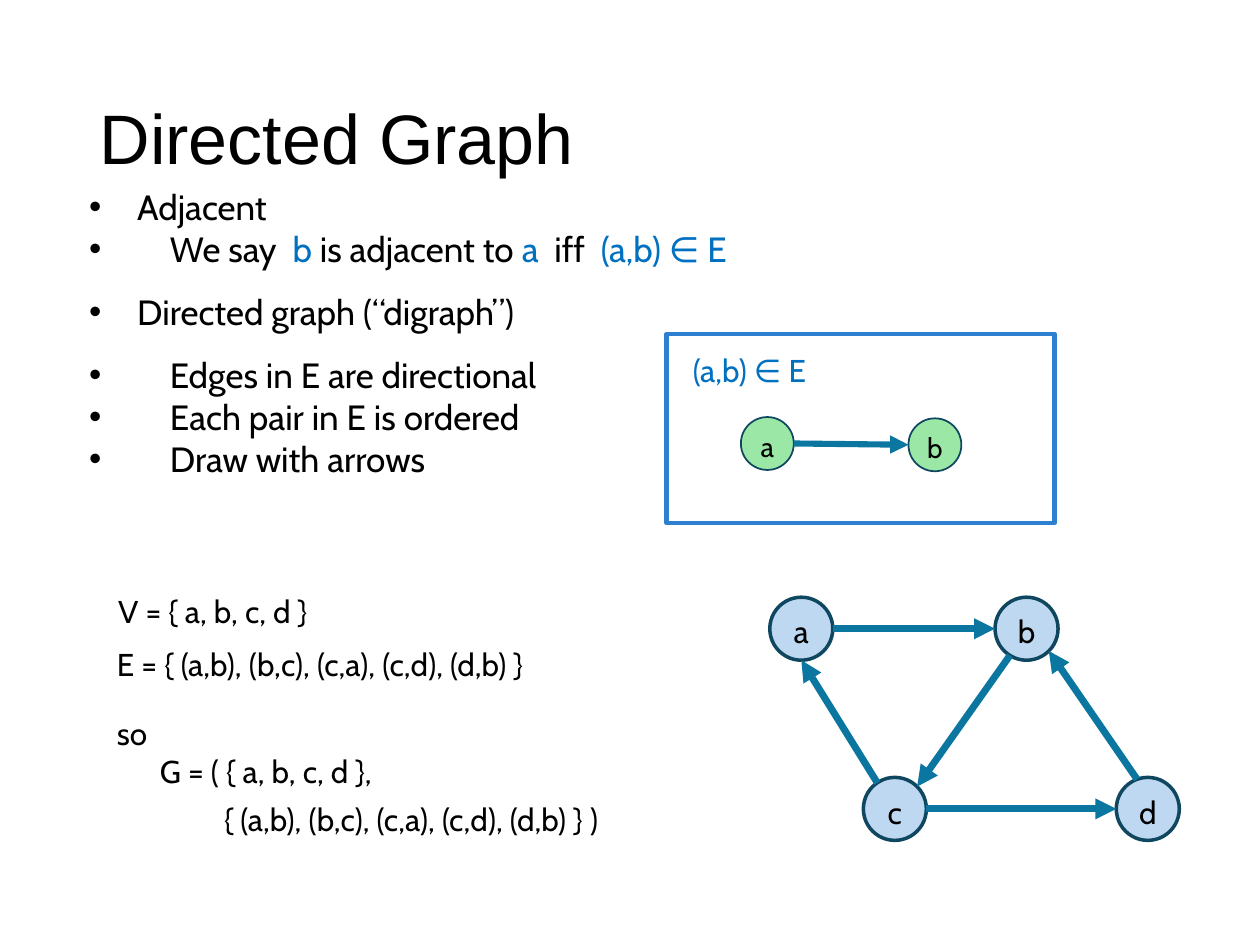
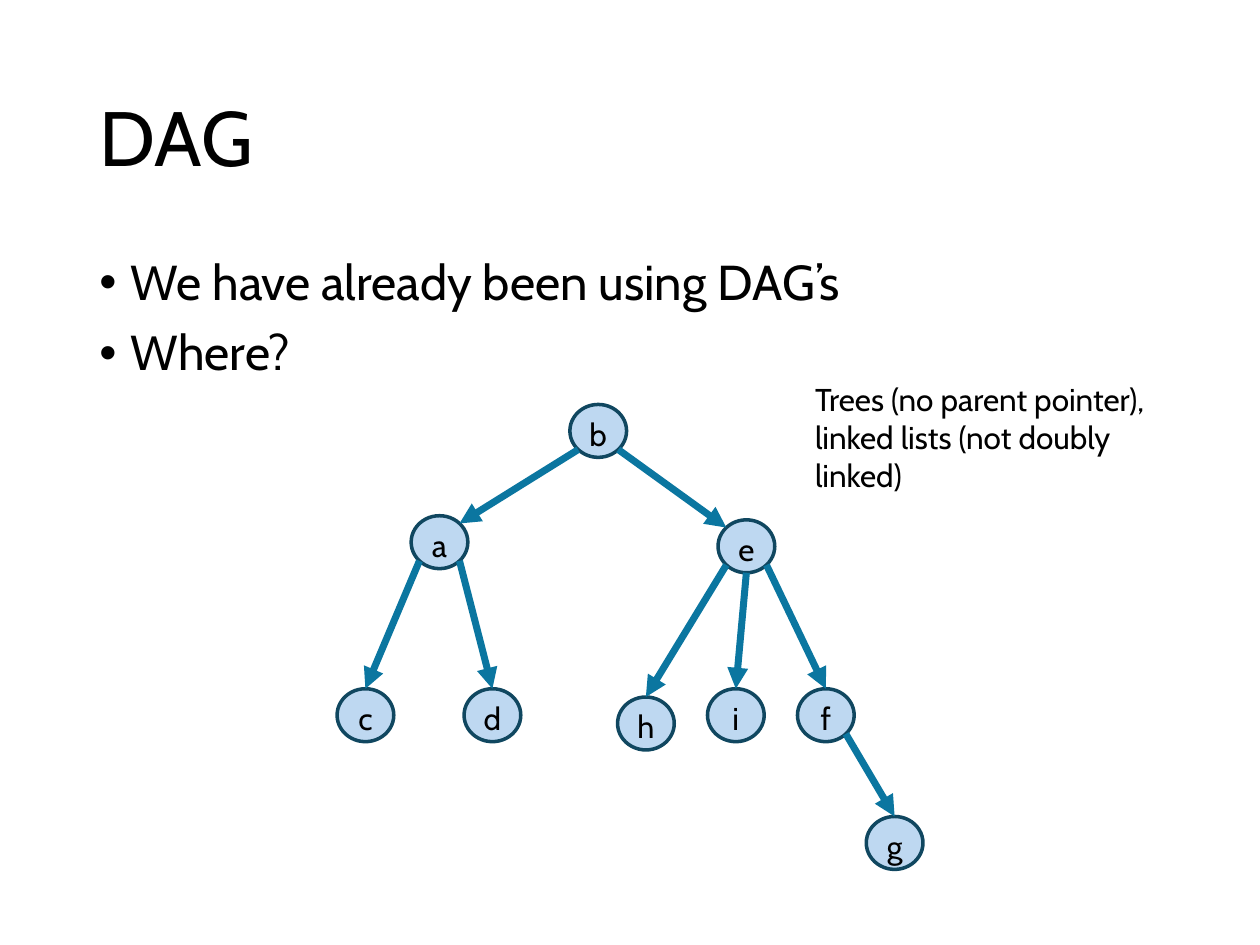
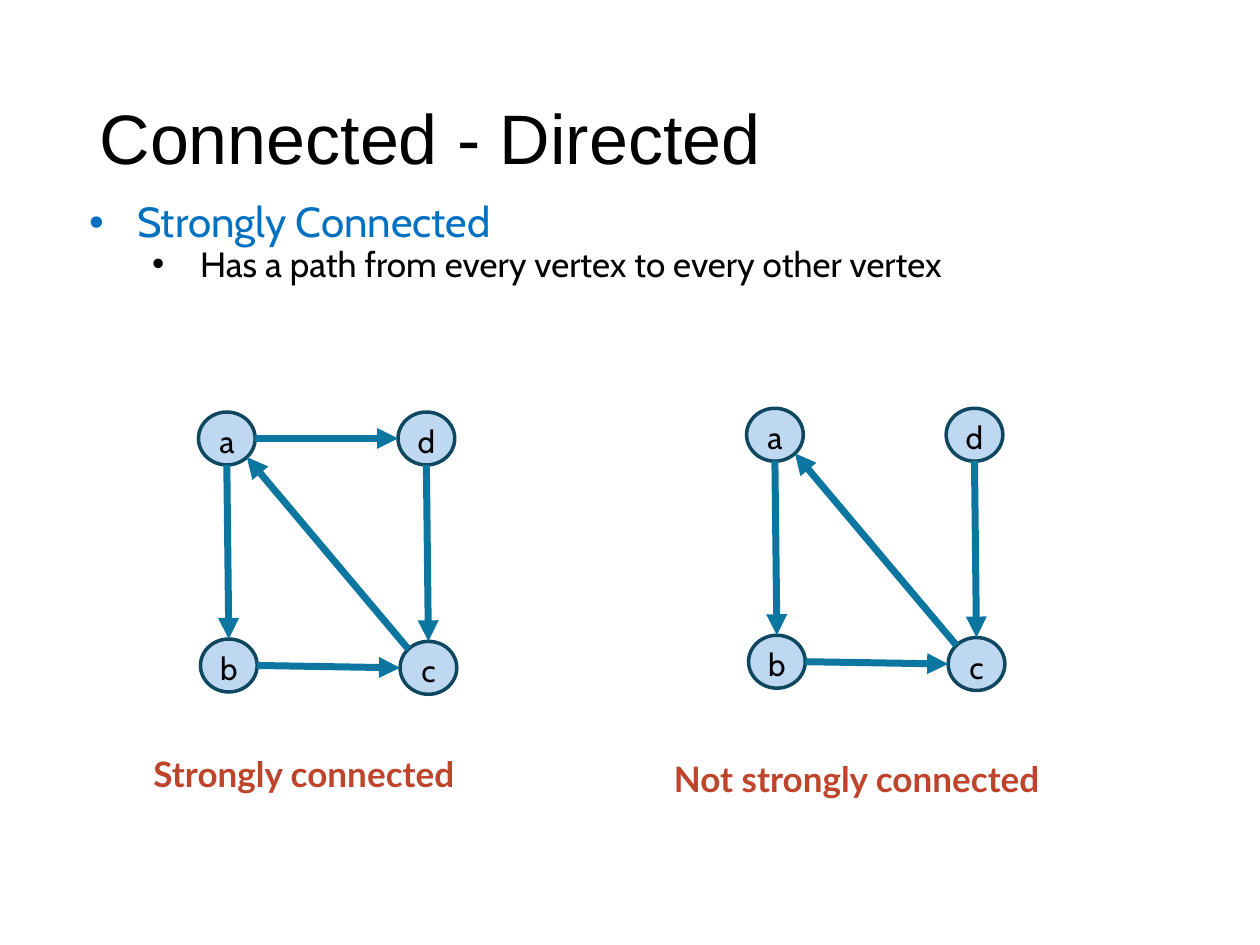
from math import cos, radians, sin

from lxml import etree
from pptx import Presentation
from pptx import util as u
from pptx.dml.color import RGBColor
from pptx.enum import shapes, text
from pptx.oxml.ns import qn

COLS, ROWS = 100, 75
BLACK = RGBColor(0x00, 0x00, 0x00)
BLUE = RGBColor(0x00, 0x70, 0xC0)
FRAME = RGBColor(0x2D, 0x7F, 0xCF)
SKY = RGBColor(0x71, 0xAA, 0xE0)
GREEN = RGBColor(0x47, 0xD4, 0x5A)
RIM = RGBColor(0x10, 0x47, 0x60)
TEAL = RGBColor(0x0B, 0x76, 0xA0)
RUST = RGBColor(0xBE, 0x44, 0x2C)

E, NE, N, NW, W, SW, S, SE = range(0, 360, 45)


def cell(n):
    return u.Inches(n / 10)


def child(parent, tag, **attrs):
    return etree.SubElement(parent, qn(tag), **attrs)


def say(frame, words, size=18, font="Cabin", color=BLACK, bold=False, left=0, hang=0,
        bullet=False, before=0, after=0, lead=1.0, align=text.PP_ALIGN.LEFT):
    para = frame.paragraphs[0]
    if para.runs:
        para = frame.add_paragraph()
    para.alignment, para.line_spacing = align, lead
    para.space_before, para.space_after = u.Pt(before), u.Pt(after)
    props = para._p.get_or_add_pPr()
    props.set("marL", str(cell(left)))
    props.set("indent", str(-cell(hang)))
    if bullet:
        child(props, "a:buFont", typeface="Arial")
        child(props, "a:buChar", char="•")
    for part, tint in [(words, color)] if isinstance(words, str) else words:
        run = para.add_run()
        run.text = part
        run.font.size, run.font.name, run.font.bold = u.Pt(size), font, bold
        run.font.color.rgb = tint


def pane(slide, box):
    frame = slide.shapes.add_textbox(*map(cell, box)).text_frame
    frame.word_wrap = True
    return frame


def page(deck, title, **style):
    slide = deck.slides.add_slide(deck.slide_layouts[5])
    head = slide.shapes.title
    head.left, head.top, head.width, head.height = map(cell, (6.9, 4, 86.2, 14.5))
    frame = head.text_frame
    frame.auto_size = text.MSO_AUTO_SIZE.NONE
    frame.vertical_anchor = text.MSO_ANCHOR.MIDDLE
    say(frame, title, lead=0.9, **style)
    return slide


def node(slide, name, mid, dims, fill, alpha, rim, size):
    (x, y), (wide, high) = mid, dims
    dot = slide.shapes.add_shape(shapes.MSO_SHAPE.OVAL, *map(
        cell, (x - wide / 2, y - high / 2, wide, high)))
    dot.shadow.inherit = False
    dot.fill.solid()
    dot.fill.fore_color.rgb = fill
    tint = dot._element.spPr.find(qn("a:solidFill"))[0]
    child(tint, "a:alpha", val=str(alpha * 1000))
    dot.line.color.rgb, dot.line.width = RIM, u.Pt(rim)
    frame = dot.text_frame
    frame.word_wrap = False
    frame.vertical_anchor = text.MSO_ANCHOR.MIDDLE
    frame.margin_left = frame.margin_right = frame.margin_bottom = 0
    frame.margin_top = cell(0.4)
    say(frame, name, size=size, align=text.PP_ALIGN.CENTER)


def arrow(slide, start, end, width):
    line = slide.shapes.add_connector(
        shapes.MSO_CONNECTOR.STRAIGHT, *map(cell, (*start, *end)))
    line.line.color.rgb, line.line.width = TEAL, u.Pt(width)
    child(line.line._get_or_add_ln(), "a:tailEnd", type="triangle")
    child(line._element.spPr, "a:effectLst")


def graph(slide, box, nodes, edges, dims=(4.5, 4.2), fill=SKY, alpha=45,
          rim=2, size=18, width=4):
    x, y, wide, high = box
    mids = {name: (x + wide * across, y + high * down)
            for name, (across, down) in nodes.items()}

    def edge(name, angle):
        turn = radians(angle)
        return (mids[name][0] + dims[0] / 2 * cos(turn),
                mids[name][1] - dims[1] / 2 * sin(turn))

    for name, mid in mids.items():
        node(slide, name, mid, dims, fill, alpha, rim, size)
    for tail, out, head, into in edges:
        arrow(slide, edge(tail, out), edge(head, into), width)


def sample(slide, box):
    x, y, wide, high = box
    rect = slide.shapes.add_shape(shapes.MSO_SHAPE.RECTANGLE, *map(cell, box))
    rect.shadow.inherit = False
    rect.fill.background()
    rect.line.color.rgb, rect.line.width = FRAME, u.Pt(2.5)
    say(pane(slide, (x + 1.1, y + 0.9, wide / 2, 4)), "(a,b) ∈ E", color=BLUE)
    graph(slide, (x + 8, y + 8.7, 13.3, 0.1), {"a": (0, 0), "b": (1, 1)},
          [("a", E, "b", W)], dims=(4.2, 4.2), fill=GREEN, alpha=54,
          rim=1, size=16, width=3.5)


def sets(slide, box):
    x, y, wide, high = box
    say(pane(slide, (x, y, wide, 4)), "V = { a, b, c, d }", left=1.7, after=6)
    say(pane(slide, (x, y + 4.2, wide, 4)),
        "E = { (a,b), (b,c), (c,a), (c,d), (d,b) }", left=1.6, after=6)
    frame = pane(slide, (x, y + 9.7, wide, high - 9.7))
    say(frame, "so", left=1.6)
    say(frame, "G = ( { a, b, c, d },", left=5, after=6)
    say(frame, "{ (a,b), (b,c), (c,a), (c,d), (d,b) } )", left=10.1, after=6)


def digraph(deck):
    slide = page(deck, "Directed Graph", size=40, font="Arial")
    frame = pane(slide, (5, 14.2, 90, 51.5))
    claim = [("We say  ", BLACK), ("b ", BLUE), ("is adjacent to ", BLACK),
             ("a  ", BLUE), ("iff  ", BLACK), ("(a,b) ∈ E", BLUE)]
    for words, deep, after in [
            ("Adjacent", 0, 0), (claim, 2.6, 12),
            ("Directed graph (“digraph”)", 0, 12),
            ("Edges in E are directional", 2.6, 0),
            ("Each pair in E is ordered", 2.6, 0),
            ("Draw with arrows", 2.6, 6)]:
        say(frame, words, size=20, left=4.9 + deep, hang=3.8 + deep,
            bullet=True, after=after)
    sample(slide, (52.9, 26.5, 30.8, 15))
    graph(slide, (63.6, 49.9, 27.5, 14.3),
          {"a": (0, 0), "b": (0.65, 0), "c": (0.27, 1), "d": (1, 1)},
          [("a", E, "b", W), ("d", 110, "b", SE), ("b", 238, "c", NE),
           ("c", E, "d", W), ("c", 124, "a", S)], dims=(5, 5))
    sets(slide, (6.7, 46.5, 46, 20.6))


def tree(deck):
    slide = page(deck, "DAG", size=44)
    frame = pane(slide, (6.9, 20, 86.2, 47.6))
    for words in ("We have already been using DAG’s", "Where?"):
        say(frame, words, size=28, left=2.5, hang=2.5, bullet=True,
            before=10, lead=0.9)
    graph(slide, (29, 34.2, 42, 32.7),
          {"b": (0.44, 0), "a": (0.14, 0.27), "e": (0.72, 0.28),
           "c": (0, 0.69), "d": (0.24, 0.69), "h": (0.53, 0.71),
           "i": (0.7, 0.69), "f": (0.87, 0.69), "g": (1, 1)},
          [("b", SW, "a", NE), ("b", SE, "e", NW), ("a", SW, "c", N),
           ("a", SE, "d", N), ("e", SW, "h", N), ("e", S, "i", N),
           ("e", SE, "f", N), ("f", SE, "g", N)])
    say(pane(slide, (63.7, 29.7, 30.1, 10.1)),
        "Trees (no parent pointer), linked lists (not doubly linked)")


def linked(deck):
    slide = page(deck, "Connected - Directed", size=40, font="Arial")
    frame = pane(slide, (5, 15.5, 90, 50.6))
    say(frame, "Strongly Connected", size=24, color=BLUE, left=4.9, hang=3.8,
        bullet=True, lead=0.9)
    say(frame, "Has a path from every vertex to every other vertex", size=20,
        left=9.9, hang=3.8, bullet=True, lead=0.9)
    nodes = {"a": (0, 0), "d": (0.99, 0), "b": (0.01, 0.99), "c": (1, 1)}
    edges = [("a", S, "b", N), ("d", S, "c", N), ("c", NW, "a", SE),
             ("b", E, "c", W)]
    for left, top, more, note, spot in [
            (18, 34.8, [("a", E, "d", W)], "Strongly connected", (11.2, 59.2)),
            (61.5, 34.5, [], "Not strongly connected", (52.5, 59.6))]:
        graph(slide, (left, top, 16, 18.2), nodes, edges + more)
        say(pane(slide, (*spot, 38, 4.4)), note, size=20, font="Lato",
            color=RUST, bold=True)


def main():
    deck = Presentation()
    deck.slide_width, deck.slide_height = cell(COLS), cell(ROWS)
    for build in (digraph, tree, linked):
        build(deck)
    deck.save("out.pptx")


if __name__ == "__main__":
    main()
